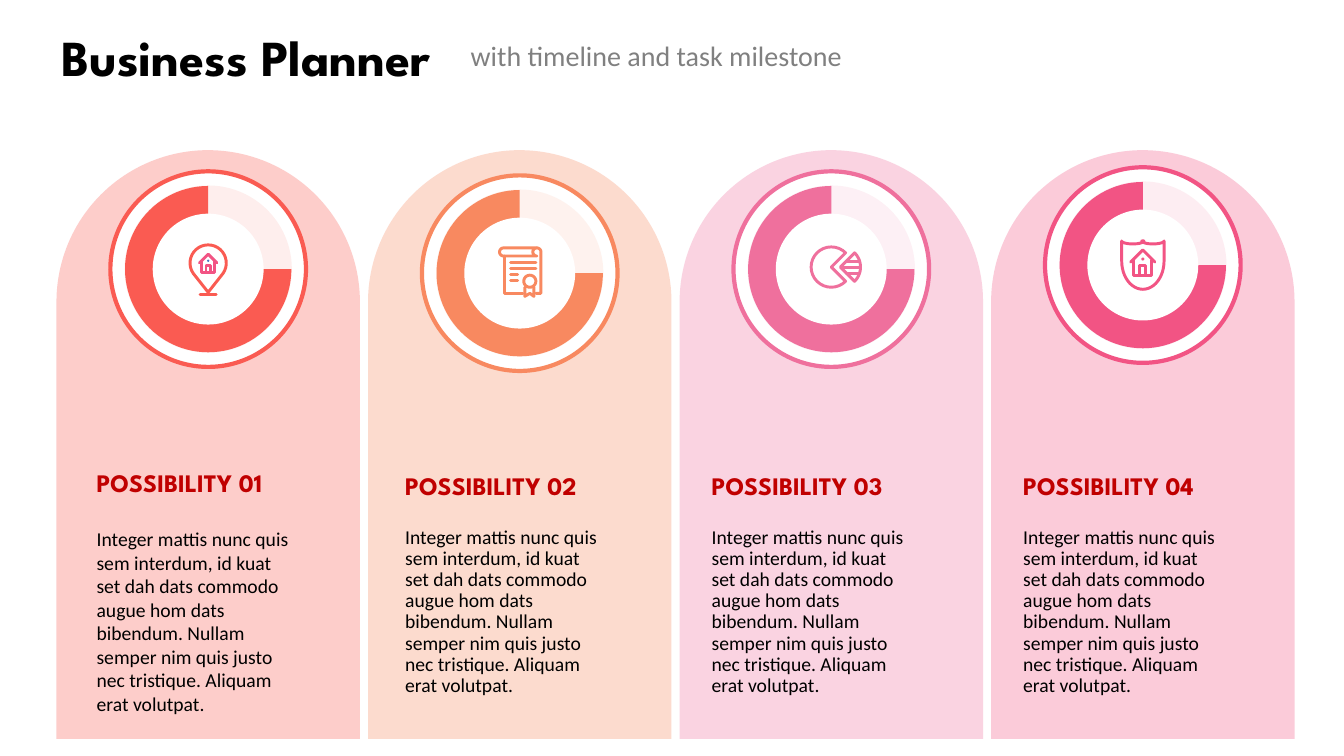
from math import cos, radians, sin

from pptx import Presentation, util as u
from pptx.dml.color import RGBColor
from pptx.enum import shapes, text
from pptx.oxml.ns import qn
from lxml import etree

COLORS = {
    "red": "FA5B52", "orange": "F88960", "pink": "EF709D", "rose": "F25484",
    "white": "FFFFFF", "black": "000000", "grey": "808080",
    "heading": "C00000", "blue": "4472C4",
}
SHAPE = shapes.MSO_SHAPE
BODY = ("Integer mattis nunc quis sem interdum, id kuat set dah dats commodo augue hom dats "
        "bibendum. Nullam semper nim quis justo nec tristique. Aliquam erat volutpat.")


def arc(x, y, rx, ry, start, end, steps=24):
    """Points on an ellipse; angles in degrees, clockwise from the right."""
    angles = [radians(start + (end - start) * i / steps) for i in range(steps + 1)]
    return [(x + rx * cos(a), y + ry * sin(a)) for a in angles]


class Planner:
    HEADING = dict(name="League Spartan", size=u.Pt(18), bold=True)
    TITLE = dict(HEADING, size=u.Pt(36))
    COPY = dict(name="Calibri", size=u.Pt(14), bold=False)
    SUBTITLE = dict(COPY, size=u.Pt(20))

    def __init__(self, deck):
        self.page = deck.slides.add_slide(deck.slide_layouts[5])

    def fill_text(self, box, wording, style, color, **para_format):
        frame = box.text_frame
        frame.word_wrap = True
        frame.auto_size = text.MSO_AUTO_SIZE.NONE
        para = frame.paragraphs[0]
        span = para.add_run()
        span.text = wording
        for key, value in para_format.items():
            setattr(para, key, value)
        for key, value in style.items():
            setattr(span.font, key, value)
        span.font.color.rgb = RGBColor.from_string(COLORS[color])
        return frame

    def title(self, wording, area):
        box = self.page.shapes.title
        box.left, box.top, box.width, box.height = map(u.Inches, area)
        frame = self.fill_text(box, wording, self.TITLE, "black",
                               alignment=text.PP_ALIGN.CENTER)
        frame.vertical_anchor = text.MSO_ANCHOR.MIDDLE

    def label(self, wording, area, style, color, middle=False, **para_format):
        box = self.page.shapes.add_textbox(*map(u.Inches, area))
        frame = self.fill_text(box, wording, style, color, **para_format)
        frame.vertical_anchor = text.MSO_ANCHOR.MIDDLE if middle else text.MSO_ANCHOR.TOP

    def shape(self, kind, area, color, opacity=100, border=None, adjust=()):
        item = self.page.shapes.add_shape(kind, *map(u.Inches, area))
        item.shadow.inherit = False
        for i, value in enumerate(adjust):
            item.adjustments[i] = value
        item.fill.solid()
        item.fill.fore_color.rgb = RGBColor.from_string(COLORS[color])
        if opacity < 100:
            tint = item._element.spPr.find(qn("a:solidFill"))[0]
            etree.SubElement(tint, qn("a:alpha")).set("val", str(opacity * 1000))
        if border:
            item.line.color.rgb = RGBColor.from_string(COLORS[border])
            item.line.width = u.Pt(3)
        else:
            item.line.fill.background()

    def disc(self, x, y, size, color, kind=SHAPE.OVAL, **options):
        self.shape(kind, (x - size / 2, y - size / 2, size, size), color, **options)

    def stroke(self, center, points, color, close=False):
        """Draw an icon line through points given in inches from center."""
        spots = [(u.Inches(center[0] + x), u.Inches(center[1] + y)) for x, y in points]
        if len(spots) == 2:
            item = self.page.shapes.add_connector(
                shapes.MSO_CONNECTOR.STRAIGHT, *spots[0], *spots[1])
        else:
            builder = self.page.shapes.build_freeform(*spots[0])
            builder.add_line_segments(spots[1:], close=close)
            item = builder.convert_to_shape()
            item.fill.background()
        item.line.color.rgb = RGBColor.from_string(COLORS[color])
        item.line.width = u.Pt(2.1)
        properties = item._element.spPr
        properties.find(qn("a:ln")).set("cap", "rnd")
        etree.SubElement(properties, qn("a:effectLst"))

    def ring(self, x, y, color):
        self.disc(x, y, 1.94, "white", border=color)
        self.disc(x, y, 1.66, color, opacity=10)
        self.disc(x, y, 1.65, color, kind=SHAPE.PIE, adjust=(215.96, 162))
        self.disc(x, y, 1.1, "white")

    def house(self, x, y, scale, color, dot):
        roof = [(-.12, -.03), (0, -.15), (.12, -.03)]
        walls = [(-.09, -.05), (-.09, .1), (.09, .1), (.09, -.05)]
        door = [(-.03, .1), (-.03, 0), (.03, 0), (.03, .1)]
        for part in (roof, walls, door):
            self.stroke((x, y), [(a * scale, b * scale) for a, b in part], color)
        self.disc(x, y - .06 * scale, .03 * scale, dot)

    def pin(self, x, y, color):
        self.stroke((x, y), arc(0, -.06, .18, .18, 145, 395) + [(0, .23)], color, close=True)
        self.stroke((x, y), [(-.08, .25), (.08, .25)], color)
        self.house(x, y - .04, .72, "rose", "blue")

    def certificate(self, x, y, color):
        sheet = [(.03, .2), (-.15, .2), (-.15, -.17)]
        edge = arc(.17, -.21, .04, .04, 270, 360) + [(.21, .2), (.16, .2)]
        scroll = (arc(-.16, -.21, .04, .04, 90, 270)
                  + arc(.17, -.21, .04, .04, 270, 90) + [(-.16, -.17)])
        ribbon = [(.05, .14), (.05, .23), (.1, .2), (.14, .23), (.14, .14)]
        for part in (sheet, edge, scroll, ribbon, arc(.1, .08, .06, .06, 0, 360)):
            self.stroke((x, y), part, color)
        for row, end in enumerate((.16, .16, -.02, -.02)):
            height = -.11 + .06 * row
            self.stroke((x, y), [(-.09, height), (end, height)], color)

    def cut_pie(self, x, y, color):
        self.stroke((x, y), arc(0, -.02, .2, .2, 45, 315) + [(0, -.02)], color, close=True)
        self.stroke((x, y), arc(.09, -.02, .2, .2, -45, 45) + [(.09, -.02)], color, close=True)
        for height, start, end in ((-.08, .15, .27), (-.02, .1, .28), (.04, .15, .27)):
            self.stroke((x, y), [(start, height), (end, height)], color)

    def shield(self, x, y, color):
        top = arc(-.1, -.24, .11, .03, 180, 0) + arc(.1, -.24, .11, .03, 180, 0)
        self.stroke((x, y), top + arc(0, -.04, .21, .28, 0, 180), color, close=True)
        self.house(x, y, 1, color, color)


def main():
    deck = Presentation()
    deck.slide_width, deck.slide_height = u.Inches(13.33), u.Inches(7.5)
    planner = Planner(deck)
    planner.title("Business Planner", (.32, .26, 4.24, .6))
    planner.label("with timeline and task milestone", (4.57, .33, 4.7, .44),
                  Planner.SUBTITLE, "grey", middle=True)
    columns = [
        ("red", 2.67, planner.pin, .86, 4.62, 1.0),
        ("orange", 2.71, planner.certificate, 3.92, 4.65, .9),
        ("pink", 2.67, planner.cut_pie, 6.96, 4.65, .9),
        ("rose", 2.63, planner.shield, 10.05, 4.65, .9),
    ]
    for i, (color, ring_y, icon, text_x, heading_y, spacing) in enumerate(columns):
        left, width = .56 + 3.09 * i, 3.01
        center = left + width / 2
        planner.shape(SHAPE.ROUND_2_SAME_RECTANGLE, (left, 1.49, width, 5.84), color,
                      opacity=30, adjust=(.5, 0))
        planner.ring(center, ring_y, color)
        icon(center, ring_y, color)
        planner.label(f"POSSIBILITY {i + 1:02}", (text_x, heading_y, 2.2, .34),
                      Planner.HEADING, "heading", middle=i == 0, line_spacing=spacing)
        planner.label(BODY, (text_x, 5.18, 2.2, 1.11), Planner.COPY, "black",
                      line_spacing=spacing)
    deck.save("out.pptx")


if __name__ == "__main__":
    main()
